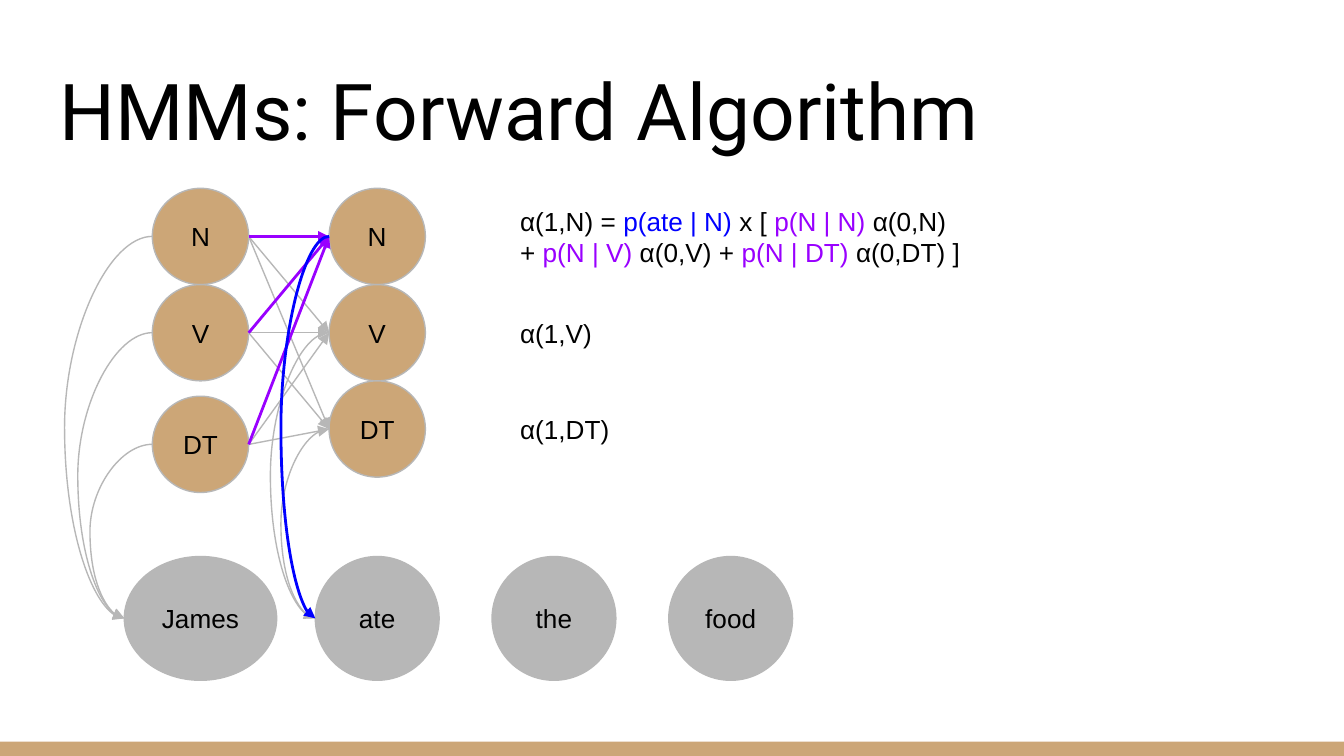
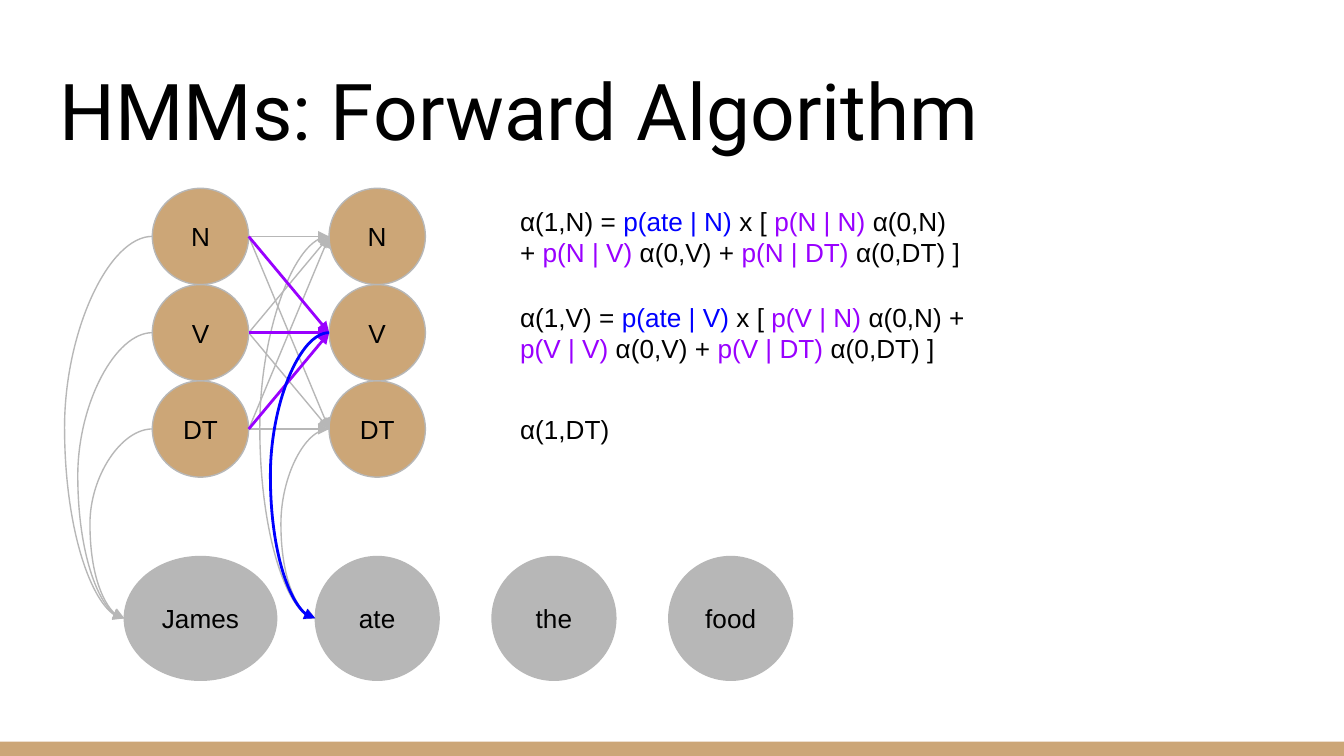
import pptx
import pptx.util
import pptx.oxml
import pptx.oxml.ns
import pptx.dml.color
import pptx.enum.shapes
import pptx.enum.text

Cm, Pt = pptx.util.Cm, pptx.util.Pt
RGBColor = pptx.dml.color.RGBColor
Shape = pptx.enum.shapes.MSO_SHAPE
Link = pptx.enum.shapes.MSO_CONNECTOR
Anchor = pptx.enum.text.MSO_ANCHOR
Align = pptx.enum.text.PP_ALIGN
qn = pptx.oxml.ns.qn

TAN = RGBColor(0xCC, 0xA6, 0x77)
GRAY = RGBColor(0xB7, 0xB7, 0xB7)
BLACK = RGBColor(0, 0, 0)
BLUE = RGBColor(0, 0, 0xFF)
PURPLE = RGBColor(0x99, 0, 0xFF)

WIDTH, HEIGHT, BAND = 25.4, 14.29, 0.27
TAGS = ["N", "V", "DT"]
WORDS = ["James", "ate", "the", "food"]
TAG, WORD, WIDE = 1.82, 2.34, 2.88    # sizes of circles; WIDE is the first word
STEP = 3.34                           # from one word to the next
MID, TOP = 3.79, 3.56                 # centre of first column, top of tags
WORD_TOP = 10.52


def frame(shape, anchor=Anchor.MIDDLE):
    text = shape.text_frame
    text.word_wrap = True
    text.vertical_anchor = anchor
    text.margin_left = text.margin_right = Cm(0.25)
    text.margin_top = text.margin_bottom = Cm(0.25)
    return text


def style(par, size=14, name="Arial", align=Align.LEFT):
    par.alignment = align
    par.font.size = Pt(size)
    par.font.name = name
    par.font.color.rgb = BLACK


def oval(slide, text, mid, top, width, height, fill):
    """Draw a labelled ellipse centred on mid."""
    shape = slide.shapes.add_shape(
        Shape.OVAL, Cm(mid - width / 2), Cm(top), Cm(width), Cm(height))
    shape.shadow.inherit = False
    shape.fill.solid()
    shape.fill.fore_color.rgb = fill
    shape.line.color.rgb = GRAY
    shape.line.width = Pt(0.75)
    par = frame(shape).paragraphs[0]
    par.text = text
    style(par, align=Align.CENTER)


def link(slide, start, end, color, tip="tailEnd", bend=None):
    """Draw an arrow; with bend, a curve bulging that far left of start."""
    kind = Link.STRAIGHT if bend is None else Link.CURVE
    line = slide.shapes.add_connector(kind, *map(Cm, start + end))
    line.line.color.rgb = color
    line.line.width = Pt(0.75 if color == GRAY else 1.5)
    props = line.element.spPr
    pptx.oxml.ns  # namespaces come from qn
    head = props.find(qn("a:ln")).makeelement(qn("a:" + tip), {"type": "triangle"})
    props.find(qn("a:ln")).append(head)
    props.append(props.makeelement(qn("a:effectLst"), {}))
    if bend is not None:
        adj = round(-bend / (end[0] - start[0]) * 100000)
        guides = props.find(qn("a:prstGeom")).get_or_add_avLst()
        guides.append(guides.makeelement(
            qn("a:gd"), {"name": "adj1", "fmla": f"val {adj}"}))


def words(slide, mid, top):
    for i, word in enumerate(WORDS):
        oval(slide, word, mid + i * STEP, top, WIDE if i == 0 else WORD, WORD, GRAY)


def column(slide, mid, tops):
    for tag, top in zip(TAGS, tops):
        oval(slide, tag, mid, top, TAG, TAG, TAN)


def emit(slide, mid, width, top, bend, color=GRAY):
    """Draw the curve between a tag and the word below it."""
    link(slide, (mid - width / 2, WORD_TOP + WORD / 2),
         (mid - TAG / 2, top + TAG / 2), color, "headEnd", bend)


def trellis(slide, mid, lefts, rights, bends, lit):
    """Link both columns, with the arrows into tag number lit on top."""
    for top, bend in zip(lefts, (1.13, 0.88, 0.65)):
        emit(slide, mid, WIDE, top, bend)
    for i in sorted(range(len(TAGS)), key=lambda i: i == lit):
        end = mid + STEP - TAG / 2, rights[i] + TAG / 2
        for top in lefts:
            link(slide, (mid + TAG / 2, top + TAG / 2), end,
                 PURPLE if i == lit else GRAY)
        emit(slide, mid + STEP, WORD, rights[i], bends[i],
             BLUE if i == lit else GRAY)


def terms(tag):
    """Give the text runs of the forward sum for a tag."""
    yield f"α(1,{tag}) = ", BLACK
    yield f"p(ate | {tag})", BLUE
    yield " x [ ", BLACK
    yield f"p({tag} | N) ", PURPLE
    yield "α(0,N) + ", BLACK
    yield f"p({tag} | V)", PURPLE
    yield " α(0,V) + ", BLACK
    yield f"p({tag} | DT)", PURPLE
    yield " α(0,DT) ]", BLACK


def sums(slide, left, tops, lit):
    """Write one formula per tag, spelled out up to tag number lit."""
    for i, (tag, top) in enumerate(zip(TAGS, tops)):
        width = WORD if tag == "DT" else 8.92
        box = slide.shapes.add_textbox(Cm(left), Cm(top), Cm(width), Cm(TAG))
        par = frame(box).paragraphs[0]
        style(par)
        for text, color in terms(tag) if i <= lit else [(f"α(1,{tag})", BLACK)]:
            run = par.add_run()
            run.text = text
            run.font.color.rgb = color


def heading(slide, text):
    title = slide.shapes.title
    title.left, title.top = Cm(0.87), Cm(0.89)
    title.width, title.height = Cm(23.67), Cm(2.31)
    area = frame(title, Anchor.BOTTOM)
    area.auto_size = pptx.enum.text.MSO_AUTO_SIZE.NONE
    area.text = text
    style(area.paragraphs[0], 42, "Roboto")


def band(deck, slide):
    """Put the bottom band on the master, behind every slide."""
    bar = slide.shapes.add_shape(
        Shape.RECTANGLE, 0, Cm(HEIGHT - BAND), Cm(WIDTH), Cm(BAND))
    bar.shadow.inherit = False
    bar.fill.solid()
    bar.fill.fore_color.rgb = TAN
    bar.line.fill.background()
    deck.slide_master.shapes.element.append(bar.element)


def forward(deck, lit, drop, bends):
    """Add a slide for tag number lit; drop lowers the first column's DT."""
    slide = deck.slides.add_slide(deck.slide_layouts[5])
    heading(slide, "HMMs: Forward Algorithm")
    rights = [TOP + i * TAG for i in range(len(TAGS))]
    lefts = rights[:2] + [rights[2] + drop]
    words(slide, MID, WORD_TOP)
    column(slide, MID, lefts)
    column(slide, MID + STEP, rights)
    sums(slide, 9.58, rights, lit)
    trellis(slide, MID, lefts, rights, bends, lit)
    return slide


def main():
    deck = pptx.Presentation()
    deck.slide_width, deck.slide_height = Cm(WIDTH), Cm(HEIGHT)
    first = forward(deck, 0, 0.29, (0.65, 0.85, 0.65))
    forward(deck, 1, 0, (1.05, 0.85, 0.65))
    band(deck, first)
    deck.save("out.pptx")


if __name__ == "__main__":
    main()
